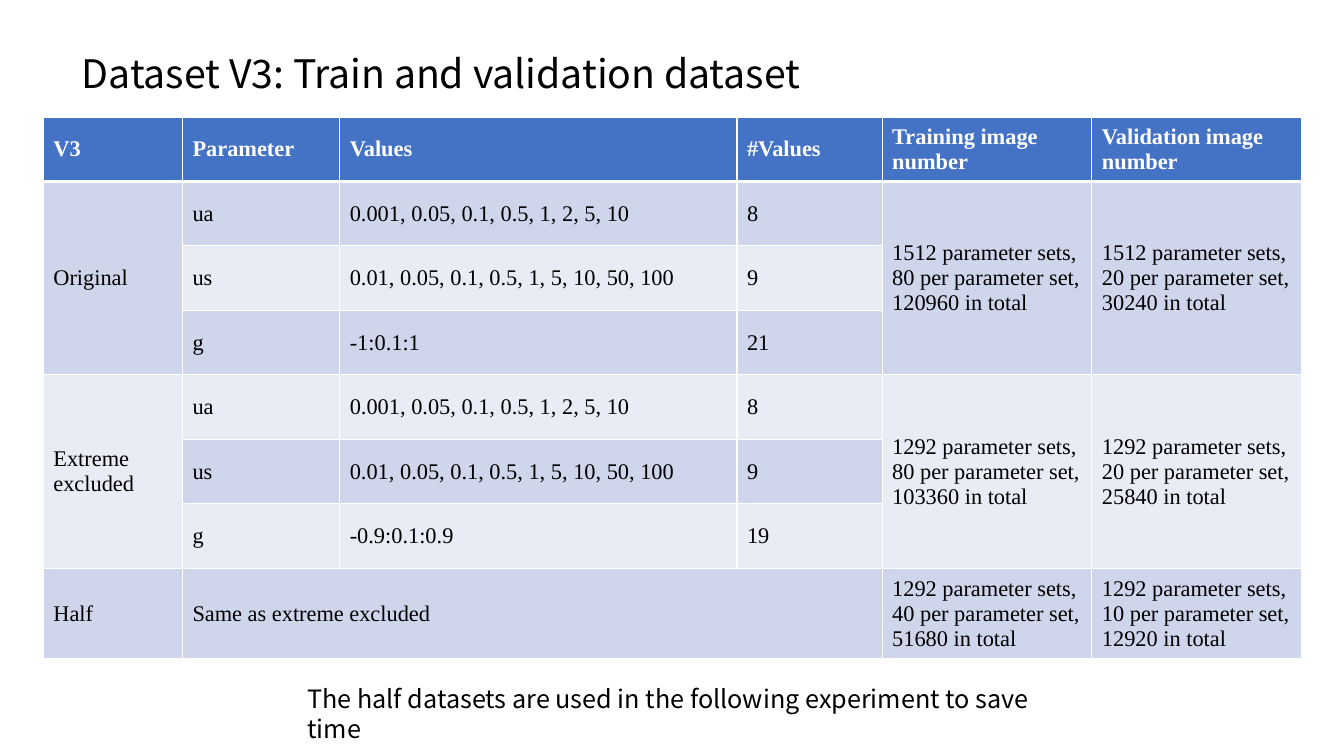
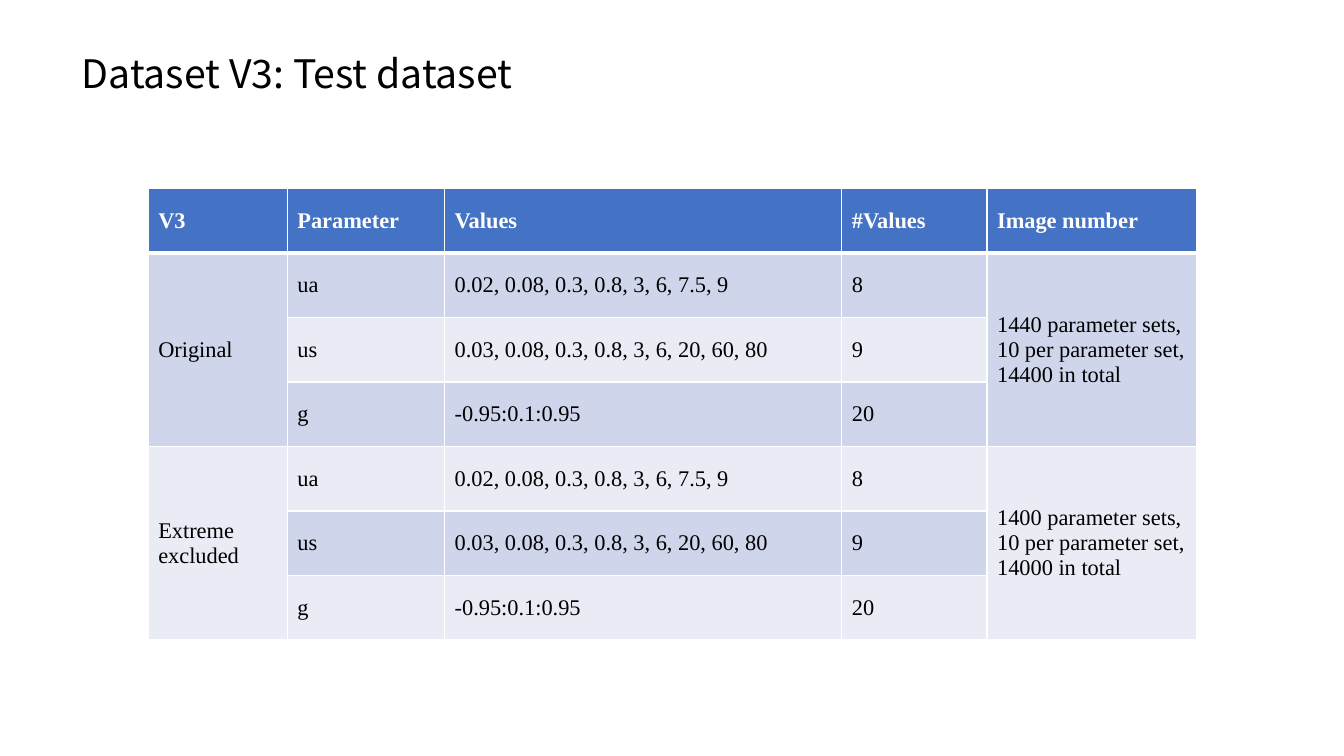
from lxml import etree
from pptx import Presentation
from pptx.dml.color import RGBColor
from pptx.enum.text import MSO_ANCHOR, MSO_AUTO_SIZE, PP_ALIGN
from pptx.oxml.ns import qn
from pptx.util import Pt

PX = 9144  # EMU per px, 100 px to the inch
TOP, MID = MSO_ANCHOR.TOP, MSO_ANCHOR.MIDDLE
GROW = MSO_AUTO_SIZE.SHAPE_TO_FIT_TEXT
LEFT = PP_ALIGN.LEFT

HUE = {"ink": "000000", "white": "FFFFFF", "head": "4472C4",
       "dark": "CFD5EA", "light": "E9EBF5"}
SANS, SERIF = "Noto Sans CJK SC", "Times New Roman"
TITLE = {"name": SANS, "size": Pt(28), "bold": False}
NOTE = {"name": SANS, "size": Pt(18), "bold": False}
HEAD = {"name": SERIF, "size": Pt(16), "bold": True}
BODY = {"name": SERIF, "size": Pt(16), "bold": False}
BOX = {"word_wrap": True, "auto_size": GROW, "vertical_anchor": TOP}

COLS = [138, 156, 394, 144, 208, 208]
ROW = 64
NAMES = ["V3", "Parameter", "Values", "#Values"]


def write(frame, text, form, hue):
    """Fill a text frame, one paragraph a line, in one format."""
    frame.text = text
    for para in frame.paragraphs:
        para.alignment = LEFT
        font = para.runs[0].font
        for key, val in form.items():
            setattr(font, key, val)
        font.color.rgb = RGBColor.from_string(HUE[hue])


def edge(cell, side, width):
    """Draw one white border of a cell."""
    line = etree.SubElement(cell._tc.get_or_add_tcPr(), qn("a:ln" + side),
                            w=str(Pt(width)))
    fill = etree.SubElement(line, qn("a:solidFill"))
    etree.SubElement(fill, qn("a:srgbClr"), val=HUE["white"])


# Content: each group has a name, three value rows and its image counts
TRAIN_UA = "0.001, 0.05, 0.1, 0.5, 1, 2, 5, 10"
TRAIN_US = "0.01, 0.05, 0.1, 0.5, 1, 5, 10, 50, 100"
TEST_UA = "0.02, 0.08, 0.3, 0.8, 3, 6, 7.5, 9"
TEST_US = "0.03, 0.08, 0.3, 0.8, 3, 6, 20, 60, 80"
TEST_G = "-0.95:0.1:0.95"

PAGES = [
    {"title": "Dataset V3: Train and validation dataset",
     "at": (43, 116),
     "heads": ["Training image number", "Validation image number"],
     "groups": [
         ("Original",
          [("ua", TRAIN_UA, 8), ("us", TRAIN_US, 9), ("g", "-1:0.1:1", 21)],
          [(1512, 80, 120960), (1512, 20, 30240)]),
         ("Extreme excluded",
          [("ua", TRAIN_UA, 8), ("us", TRAIN_US, 9),
           ("g", "-0.9:0.1:0.9", 19)],
          [(1292, 80, 103360), (1292, 20, 25840)]),
         ("Half",
          [("Same as extreme excluded", "", "")],
          [(1292, 40, 51680), (1292, 10, 12920)])],
     "note": "The half datasets are used in the following experiment "
             "to save time"},
    {"title": "Dataset V3: Test dataset",
     "at": (147, 187),
     "heads": ["Image number"],
     "groups": [
         ("Original",
          [("ua", TEST_UA, 8), ("us", TEST_US, 9), ("g", TEST_G, 20)],
          [(1440, 10, 14400)]),
         ("Extreme excluded",
          [("ua", TEST_UA, 8), ("us", TEST_US, 9), ("g", TEST_G, 20)],
          [(1400, 10, 14000)])],
     "note": ""},
]

deck = Presentation()
deck.slide_width, deck.slide_height = 1333 * PX, 750 * PX

for page in PAGES:
    slide = deck.slides.add_slide(deck.slide_layouts[5])

    # Title
    title = slide.shapes.title
    title.left, title.top, title.width, title.height = (
        n * PX for n in (71, 44, 845, 57))
    for key, val in BOX.items():
        setattr(title.text_frame, key, val)
    write(title.text_frame, page["title"], TITLE, "ink")

    # Rows and merged blocks
    rows = [NAMES + page["heads"]]
    spans = []
    for name, values, counts in page["groups"]:
        first, last = len(rows), len(rows) + len(values) - 1
        totals = [f"{sets} parameter sets,\n{per} per parameter set, "
                  f"{total} in total" for sets, per, total in counts]
        for i, value in enumerate(values):
            ends = totals if i == 0 else [""] * len(totals)
            rows.append([name if i == 0 else "", *value, *ends])
        if last > first:
            spans += [(first, col, last, col)
                      for col in (0, *range(4, 4 + len(totals)))]
        else:
            spans.append((first, 1, first, 3))

    # Table
    cols = COLS[:len(rows[0])]
    left, top = page["at"]
    grid = slide.shapes.add_table(
        len(rows), len(cols), left * PX, top * PX,
        sum(cols) * PX, len(rows) * ROW * PX).table
    grid.horz_banding = False
    for col, width in zip(grid.columns, cols):
        col.width = width * PX
    if len(rows) == 8:
        grid.rows[7].height = 82 * PX

    for r, row in enumerate(rows):
        shade = "head" if r == 0 else "dark" if r % 2 else "light"
        for c, text in enumerate(row):
            cell = grid.cell(r, c)
            cell.vertical_anchor = MID
            for side in "LRTB":
                thick = (r, side) in ((0, "B"), (1, "T"))
                edge(cell, side, 3 if thick else 1)
            cell.fill.solid()
            cell.fill.fore_color.rgb = RGBColor.from_string(HUE[shade])
            if text != "":
                write(cell.text_frame, str(text), BODY if r else HEAD,
                      "ink" if r else "white")
    for r, c, r2, c2 in spans:
        grid.cell(r, c).merge(grid.cell(r2, c2))

    # Note below the table
    if page["note"]:
        note = slide.shapes.add_textbox(
            *(n * PX for n in (295, 673, 744, 40))).text_frame
        for key, val in BOX.items():
            setattr(note, key, val)
        write(note, page["note"], NOTE, "ink")

deck.save("out.pptx")
